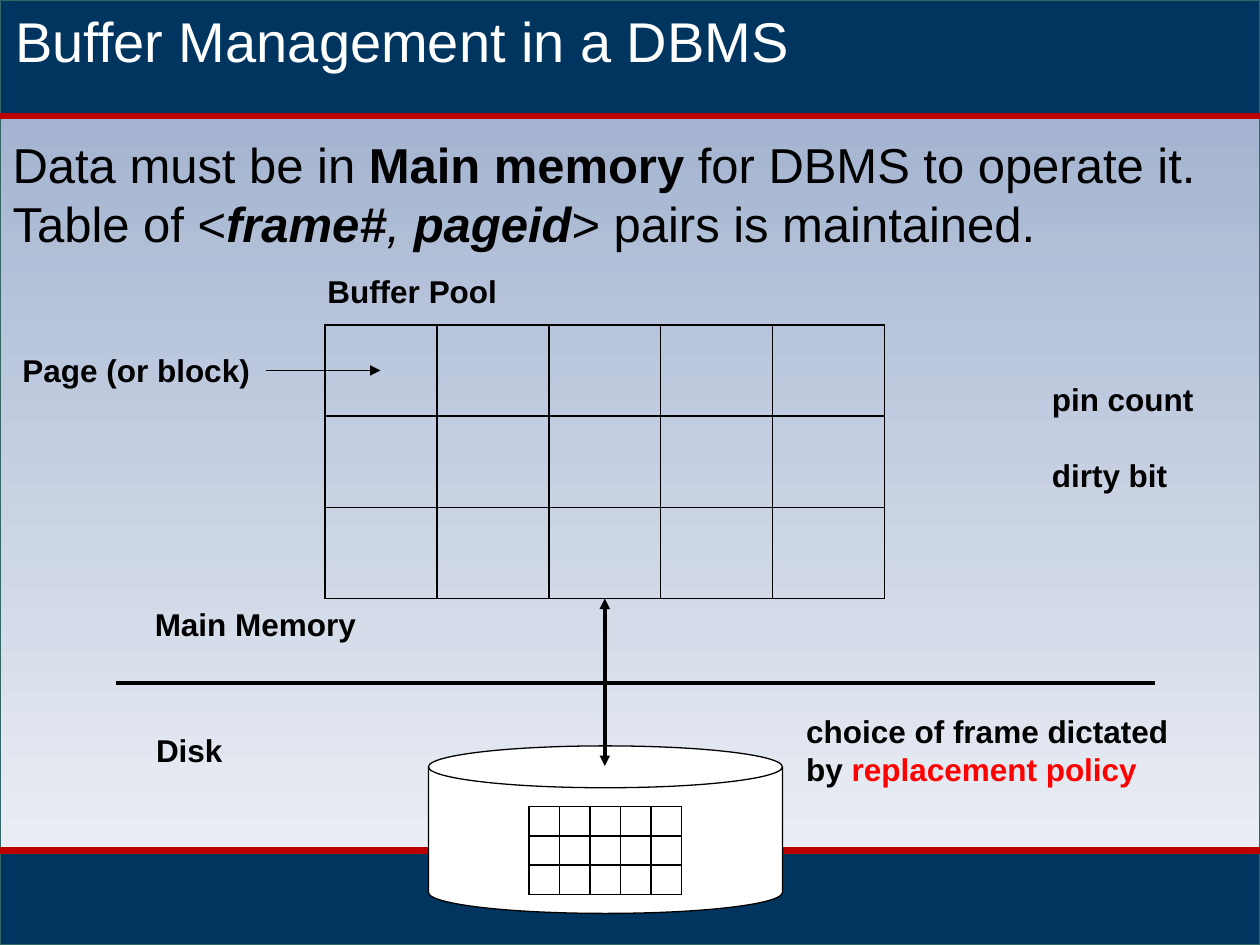
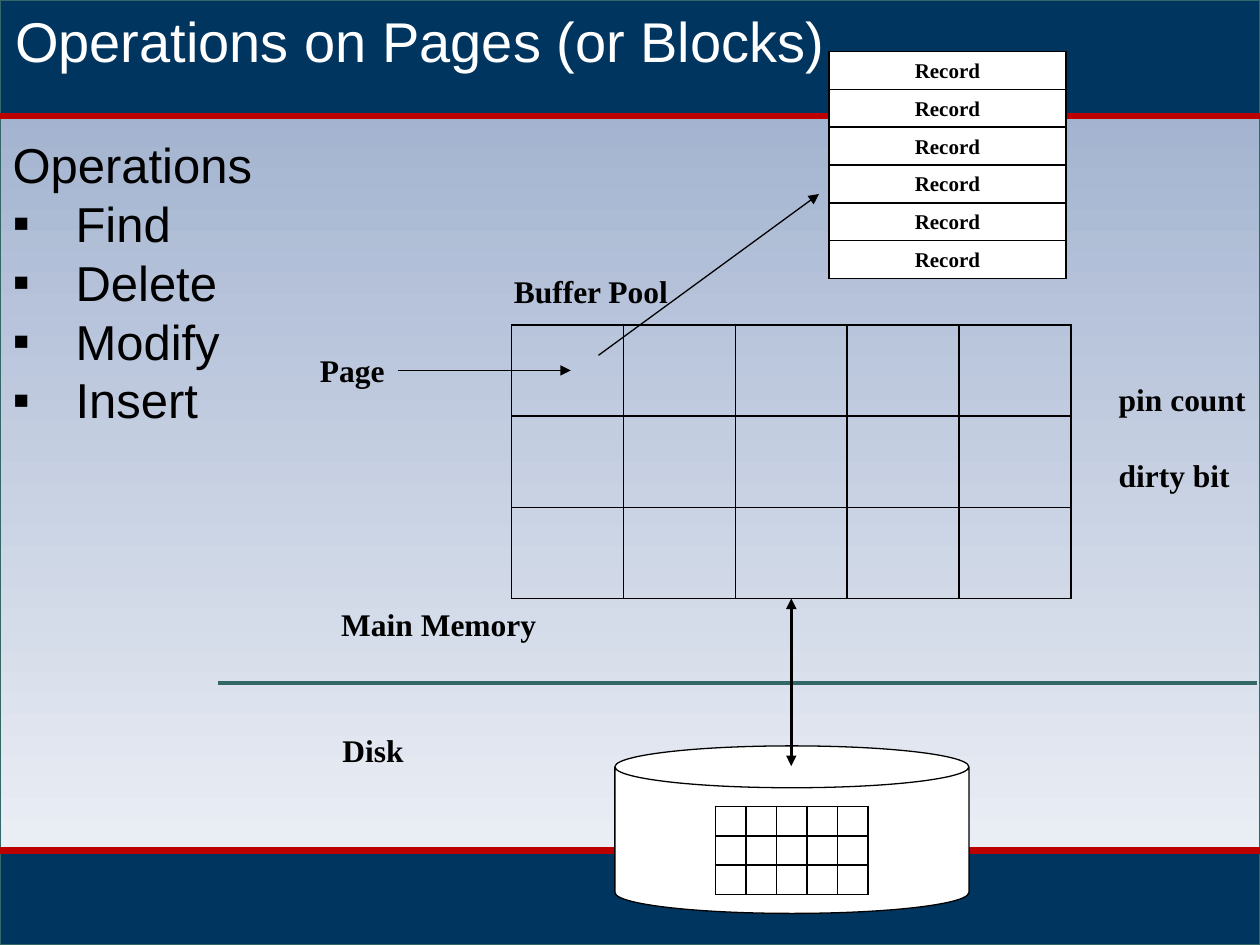
from lxml.etree import SubElement
from pptx import Presentation
from pptx.dml.color import RGBColor
from pptx.enum.shapes import MSO_CONNECTOR, MSO_SHAPE
from pptx.enum.text import MSO_ANCHOR, MSO_AUTO_SIZE, PP_ALIGN
from pptx.oxml.ns import qn
from pptx.util import Inches, Pt

COLORS = {
    "navy": "003560",
    "red": "BC0000",
    "highlight": "FF0000",
    "teal": "336666",
    "sky": "99ABCB",
    "mist": "F3F5F9",
    "black": "000000",
    "white": "FFFFFF",
}
COLUMNS, ROWS = 100, 75
LINE_HEIGHT = 1.2


def color(name):
    return RGBColor.from_string(COLORS[name])


class Deck:
    def __init__(self, font):
        self.presentation = Presentation()
        self.presentation.slide_width = Inches(10)
        self.presentation.slide_height = Inches(7.5)
        self.layout = self.presentation.slide_layouts[1]
        self.font = font
        self.label_font = font
        self.slide = None

    def x(self, columns):
        return round(self.presentation.slide_width * columns / COLUMNS)

    def y(self, rows):
        return round(self.presentation.slide_height * rows / ROWS)

    def area(self, left, top, width, height):
        return self.x(left), self.y(top), self.x(width), self.y(height)

    def start_slide(self, title, label_font):
        first = self.slide is None
        self.slide = self.presentation.slides.add_slide(self.layout)
        self.label_font = label_font
        if first:
            self.add_frame_to_layout()
        self.fill_placeholder(self.slide.shapes.title, (0.2, 0, 99.8, 6.4),
                              [title], 32, "white")

    def add_frame_to_layout(self):
        backdrop = self.shape(MSO_SHAPE.RECTANGLE, (0, 0, COLUMNS, ROWS), "sky", "teal")
        backdrop.fill.gradient()
        backdrop.fill.gradient_angle = 270
        for stop, name in zip(backdrop.fill.gradient_stops, ("sky", "mist")):
            stop.color.rgb = color(name)
        frame = [backdrop]
        for top, height in ((67.5, 7.5), (0, 9.2)):
            frame.append(self.shape(MSO_SHAPE.RECTANGLE, (0, top, COLUMNS, height),
                                    "navy", "teal"))
        for row in (9.2, 67.5):
            frame.append(self.line((0, row), (COLUMNS, row), 3.75, "red"))
        tree = self.layout.shapes._spTree
        for index, part in enumerate(frame, start=2):
            tree.insert(index, part._element)

    def shape(self, kind, area, fill, outline):
        shape = self.slide.shapes.add_shape(kind, *self.area(*area))
        shape.shadow.inherit = False
        shape.fill.solid()
        shape.fill.fore_color.rgb = color(fill)
        shape.line.color.rgb = color(outline)
        shape.line.width = Pt(0.75)
        return shape

    def line(self, start, end, width, name="black", arrows=()):
        connector = self.slide.shapes.add_connector(
            MSO_CONNECTOR.STRAIGHT, self.x(start[0]), self.y(start[1]),
            self.x(end[0]), self.y(end[1]))
        connector.line.color.rgb = color(name)
        connector.line.width = Pt(width)
        outline = connector.line._get_or_add_ln()
        for arrow in arrows:
            SubElement(outline, qn(f"a:{arrow}"), type="triangle")
        SubElement(connector._element.spPr, qn("a:effectLst"))
        return connector

    def set_text(self, paragraph, content, size, font, name="black", bold=False,
                 before=0, bullet=None):
        properties = paragraph._p.get_or_add_pPr()
        indent = Inches(0.5) if bullet else 0
        properties.set("marL", str(indent))
        properties.set("indent", str(-indent))
        if bullet:
            SubElement(properties, qn("a:buChar"), char=bullet)
        else:
            SubElement(properties, qn("a:buNone"))
        paragraph.line_spacing = Pt(size * LINE_HEIGHT)
        paragraph.space_before = Pt(before)
        paragraph.alignment = PP_ALIGN.LEFT
        paragraph.font.name = font
        paragraph.font.size = Pt(size)
        paragraph.font.bold = bold
        paragraph.font.color.rgb = color(name)
        pieces = [(content, "")] if isinstance(content, str) else content
        for text, style in pieces:
            run = paragraph.add_run()
            run.text = text
            if "bold" in style:
                run.font.bold = True
            if "italic" in style:
                run.font.italic = True
            if "highlight" in style:
                run.font.color.rgb = color("highlight")

    def paragraphs(self, frame, contents):
        for index, content in enumerate(contents):
            paragraph = frame.add_paragraph() if index else frame.paragraphs[0]
            yield index, paragraph, content

    def fill_placeholder(self, placeholder, area, contents, size, name="black", bullet=None):
        placeholder.left, placeholder.top, placeholder.width, placeholder.height = self.area(*area)
        frame = placeholder.text_frame
        frame.auto_size = MSO_AUTO_SIZE.NONE
        frame.vertical_anchor = MSO_ANCHOR.TOP
        for index, paragraph, content in self.paragraphs(frame, contents):
            self.set_text(paragraph, content, size, self.font, name,
                          bullet=bullet if index else None)

    def body(self, area, contents, bullet=None):
        self.fill_placeholder(self.slide.placeholders[1], area, contents, 28, bullet=bullet)

    def label(self, area, *contents, gap=0):
        box = self.slide.shapes.add_textbox(*self.area(*area))
        frame = box.text_frame
        frame.word_wrap = False
        frame.auto_size = MSO_AUTO_SIZE.SHAPE_TO_FIT_TEXT
        for index, paragraph, content in self.paragraphs(frame, contents):
            self.set_text(paragraph, content, 18, self.label_font, bold=True,
                          before=gap if index else 0)

    def table(self, area, row_count, column_count, fill=None, text=None):
        left, top, width, height = self.area(*area)
        table = self.slide.shapes.add_table(row_count, column_count,
                                            left, top, width, height).table
        table.first_row = False
        table.horz_banding = False
        for column in table.columns:
            column.width = round(width / column_count)
        for row in table.rows:
            row.height = round(height / row_count)
        for cell in table.iter_cells():
            self.format_cell(cell, fill, text)

    def format_cell(self, cell, fill, text):
        cell.margin_top = cell.margin_bottom = 0
        cell.vertical_anchor = MSO_ANCHOR.MIDDLE
        for side in ("lnL", "lnR", "lnT", "lnB"):
            border = SubElement(cell._tc.get_or_add_tcPr(), qn(f"a:{side}"), w=str(Pt(1)))
            paint = SubElement(border, qn("a:solidFill"))
            SubElement(paint, qn("a:srgbClr"), val=COLORS["black"])
        if fill:
            cell.fill.solid()
            cell.fill.fore_color.rgb = color(fill)
        else:
            cell.fill.background()
        paragraph = cell.text_frame.paragraphs[0]
        if text:
            self.set_text(paragraph, text, 12, self.label_font, bold=True)
            paragraph.alignment = PP_ALIGN.CENTER
        else:
            SubElement(paragraph._p, qn("a:endParaRPr"), sz="800")

    def buffer_diagram(self, left, divider_left, divider_color):
        center = left + 22.2
        self.table((left, 25.8, 44.4, 21.7), 3, 5)
        self.label((left - 0.8, 21.1, 15.6, 4), "Buffer Pool")
        self.shape(MSO_SHAPE.CAN, (left + 8.2, 59.2, 28.1, 13.3), "white", "black")
        self.line((divider_left, 54.2), (divider_left + 82.5, 54.2), 2.5, divider_color)
        self.line((center, 47.5), (center, 60.8), 2, arrows=("headEnd", "tailEnd"))
        self.label((left - 14.4, 57.5, 7.3, 4), "Disk")
        self.label((left - 14.5, 47.5, 18.1, 4), "Main Memory")
        self.table((left + 16.2, 64, 12.1, 7), 3, 5, "white")

    def page_pointer(self, text, label_left, label_width, end):
        start = label_left + label_width
        self.label((label_left, 27.4, label_width, 4), text)
        self.line((start, 29.4), (end, 29.4), 0.75, arrows=("tailEnd",))

    def frame_flags(self, left, width):
        self.label((left, 29.7, width, 10.1), "pin count", "dirty bit",
                   gap=18 * LINE_HEIGHT)


def main():
    deck = Deck("Arial")

    deck.start_slide("Buffer Management in a DBMS", "Arial")
    deck.body((0, 10.2, 100, 10.4), [
        [("Data must be in ", ""), ("Main memory", "bold"),
         (" for DBMS to operate it.", "")],
        [("Table of <", ""), ("frame#", "bold italic"), (", ", "italic"),
         ("pageid", "bold italic"), ("> pairs is maintained.", "")],
    ])
    deck.buffer_diagram(25.8, 9.2, "black")
    deck.page_pointer("Page (or block)", 0.8, 20.3, 30.2)
    deck.frame_flags(82.5, 13.4)
    deck.label((63, 56, 31, 7), "choice of frame dictated",
               [("by ", ""), ("replacement policy", "highlight")])

    deck.start_slide("Operations on Pages (or Blocks)", "Times New Roman")
    deck.body((0, 10.2, 24.4, 24.6),
              ["Operations", "Find", "Delete", "Modify", "Insert"], bullet="▪")
    deck.buffer_diagram(40.6, 17.3, "teal")
    deck.page_pointer("Page", 24.4, 7.2, 45.3)
    deck.frame_flags(87.8, 12.2)
    deck.table((65.8, 4.1, 18.8, 18), 6, 1, "white", "Record")
    deck.line((47.5, 28.2), (65, 15.4), 0.75, arrows=("tailEnd",))

    deck.presentation.save("out.pptx")


if __name__ == "__main__":
    main()
